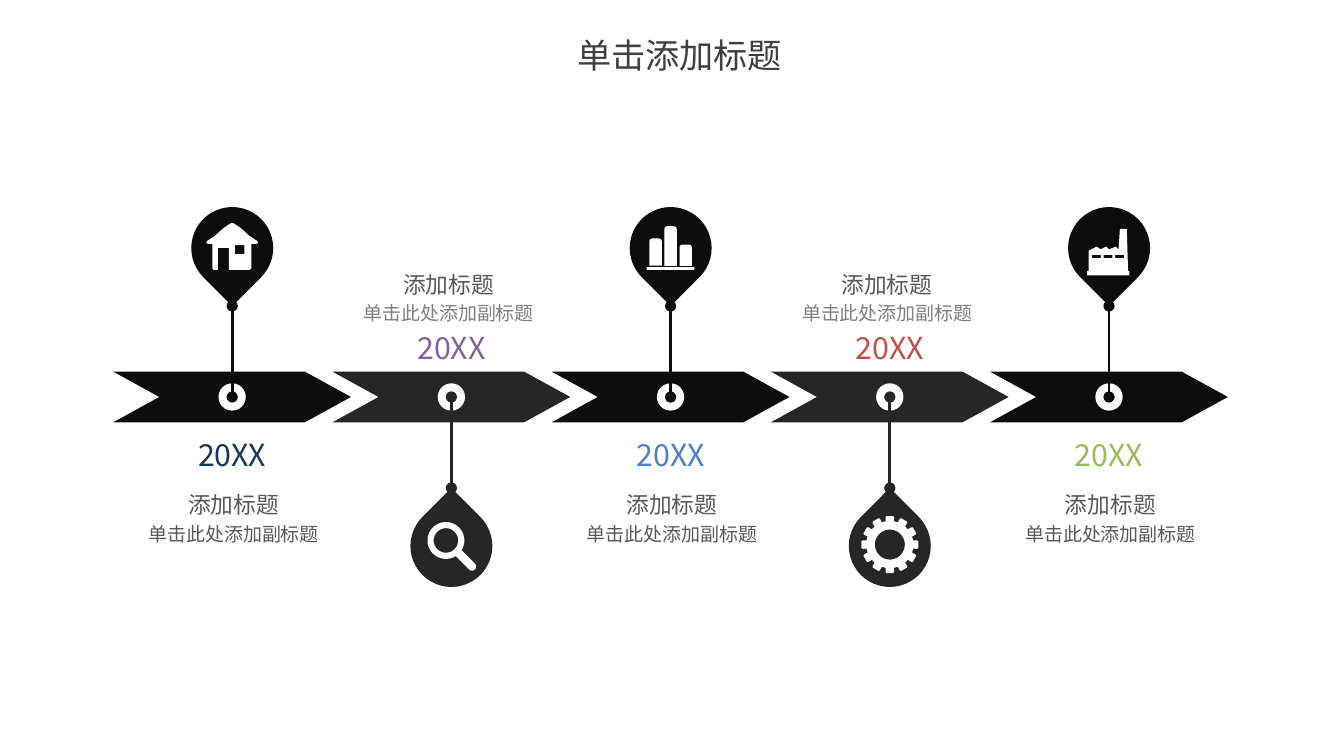
from math import cos, pi, radians, sin

from lxml.etree import SubElement
from pptx import Presentation
from pptx.dml.color import RGBColor
from pptx.enum.shapes import MSO_CONNECTOR, MSO_SHAPE
from pptx.enum.text import MSO_ANCHOR, PP_ALIGN
from pptx.oxml.ns import qn
from pptx.util import Inches, Pt

# Content
FONT = "Noto Sans CJK SC"
WHITE = RGBColor(0xFF, 0xFF, 0xFF)
BLACK = RGBColor(0x0D, 0x0D, 0x0D)
CHARCOAL = RGBColor(0x26, 0x26, 0x26)
TITLE_GRAY = RGBColor(0x40, 0x40, 0x40)
TEXT_GRAY = RGBColor(0x59, 0x59, 0x59)
LIGHT_GRAY = RGBColor(0x80, 0x80, 0x80)
NAVY = RGBColor(0x17, 0x37, 0x5E)
PURPLE = RGBColor(0x80, 0x64, 0xA2)
BLUE = RGBColor(0x4F, 0x81, 0xBD)
RED = RGBColor(0xC0, 0x50, 0x4D)
GREEN = RGBColor(0x9B, 0xBB, 0x59)

TITLE = "单击添加标题"
STEPS = [  # year, year colour, heading, subtitle, icon
    ("20XX", NAVY, "添加标题", "单击此处添加副标题", "house"),
    ("20XX", PURPLE, "添加标题", "单击此处添加副标题", "magnifier"),
    ("20XX", BLUE, "添加标题", "单击此处添加副标题", "bars"),
    ("20XX", RED, "添加标题", "单击此处添加副标题", "gear"),
    ("20XX", GREEN, "添加标题", "单击此处添加副标题", "factory"),
]

# Grid, in inches
WIDTH, HEIGHT = 9.84, 5.51
FIRST, PITCH = 1.7, 1.605       # column centres
AXIS = 2.905                    # centre line of the arrows
PIN_OFFSET, PIN = 1.09, 0.6     # axis to pin centre, pin diameter
TIP = PIN / 2 * 2 ** 0.5        # pin centre to pin tip
ROWS_ABOVE = (2.41, 1.98, 2.21)  # year, heading, subtitle
ROWS_BELOW = (3.19, 3.59, 3.82)


# Icon outlines, in hundredths of an inch from the pin centre
def arc(x, y, radius, start=0, end=360, steps=48):
    angles = [radians(start + (end - start) * i / steps) for i in range(steps + 1)]
    return [(x + radius * cos(a), y + radius * sin(a)) for a in angles]


def rectangle(left, top, right, bottom):
    return [(left, top), (right, top), (right, bottom), (left, bottom)]


def magnifier():
    lens, reach, handle = -4, 27, 3
    diagonal = cos(pi / 4)
    end = lens + reach * diagonal
    outline = arc(lens, lens, 13.5, 58, 392) + arc(end, end, handle, -45, 135, 12)
    return [outline, arc(lens, lens, 9)]


def gear(teeth=12):
    outline = []
    for i in range(teeth):
        middle = 360 / teeth * i
        for shift, radius in ((-10, 17.3), (-9, 20), (-7, 21), (7, 21), (9, 20), (10, 17.3)):
            angle = radians(middle + shift)
            outline.append((radius * cos(angle), radius * sin(angle) - 1))
    return [outline, arc(0, -1, 11)]


HOUSE = [
    (0, -18.5), (2, -17.5), (7, -14), (12.5, -9), (18.5, -5), (19, -3.5), (17.5, -3),
    (14, -3), (14, 15), (13, 16), (-2.5, 16), (-2.5, 0), (-10.5, 0), (-10.5, 16),
    (-13.5, 16), (-14.5, 15), (-14.5, -3), (-17.5, -3), (-19, -3.5), (-18.5, -5),
    (-12.5, -9), (-7, -14), (-2, -17.5),
]
FACTORY = [
    (14, 17), (13, -14), (8, -14), (7, 1), (5, -1), (0, 1), (-2, -1), (-6, 1),
    (-9, -1), (-15, 2), (-15, 17), (-16, 17), (-16, 20), (15, 20), (15, 17),
]
BAR_TOPS = (-7, -16, -2.5)
OUTLINES = {
    "house": [HOUSE, rectangle(2, -2, 9, 4.5)],
    "magnifier": magnifier(),
    "gear": gear(),
    "factory": [FACTORY] + [rectangle(x, 5, x + 6.5, 7.5) for x in (-12.5, -4, 4.5)],
}


# Drawing helpers
def paint(shape, color):
    shape.shadow.inherit = False
    shape.fill.solid()
    shape.fill.fore_color.rgb = color
    shape.line.fill.background()
    return shape


def add_centered(page, kind, x, y, width, height, color):
    return paint(page.shapes.add_shape(
        kind, Inches(x - width / 2), Inches(y - height / 2),
        Inches(width), Inches(height)), color)


def add_icon(page, name, x, y):
    if name == "bars":
        for i, top in enumerate(BAR_TOPS):
            height = (13 - top) / 100
            bar = add_centered(page, MSO_SHAPE.ROUND_2_SAME_RECTANGLE,
                               x + (i - 1) * 0.11, y + 0.13 - height / 2, 0.09, height, WHITE)
            bar.adjustments[0] = 0.24
        add_centered(page, MSO_SHAPE.RECTANGLE, x, y + 0.15, 0.35, 0.02, WHITE)
        return
    builder = None
    for outline in OUTLINES[name]:
        points = [(Inches(x + dx / 100), Inches(y + dy / 100)) for dx, dy in outline]
        if builder is None:
            builder = page.shapes.build_freeform(*points[0])
        else:
            builder.move_to(*points[0])
        builder.add_line_segments(points[1:], close=True)
    paint(builder.convert_to_shape(), WHITE)


def write(box, text, size, color, anchor=MSO_ANCHOR.TOP):
    frame = box.text_frame
    frame.text = text
    frame.word_wrap = False
    frame.vertical_anchor = anchor
    frame.margin_left = frame.margin_right = frame.margin_top = frame.margin_bottom = 0
    para = frame.paragraphs[0]
    para.alignment = PP_ALIGN.CENTER
    span = para.runs[0]
    span.font.size = Pt(size)
    span.font.color.rgb = color
    span.font.name = FONT
    SubElement(span.font._element, qn("a:ea")).set("typeface", FONT)


def add_label(page, x, top, width, height, *style):
    box = page.shapes.add_textbox(
        Inches(x - width / 2), Inches(top), Inches(width), Inches(height))
    write(box, *style)


def add_stem(page, x, start, end, color):
    stem = page.shapes.add_connector(
        MSO_CONNECTOR.STRAIGHT, Inches(x), Inches(start), Inches(x), Inches(end))
    stem.line.color.rgb = color
    stem.line.width = Pt(1.5)
    line = stem.line._get_or_add_ln()
    for tag in ("a:headEnd", "a:tailEnd"):
        SubElement(line, qn(tag)).set("type", "oval")
    SubElement(stem._element.spPr, qn("a:effectLst"))


def add_step(page, index, year, year_color, heading, subtitle, icon):
    x = FIRST + PITCH * index
    above = index % 2 == 0      # the pin stands above the arrow
    side = -1 if above else 1
    color = BLACK if above else CHARCOAL
    pin_y = AXIS + side * PIN_OFFSET

    # Arrow, ring, stem and pin
    arrow = add_centered(page, MSO_SHAPE.NOTCHED_RIGHT_ARROW, x, AXIS, 1.74, 0.37, color)
    arrow.adjustments[0], arrow.adjustments[1] = 1, 0.91
    add_centered(page, MSO_SHAPE.OVAL, x, AXIS, 0.2, 0.2, WHITE)
    add_stem(page, x, pin_y - side * TIP, AXIS, color)
    pin = add_centered(page, MSO_SHAPE.TEAR, x, pin_y, PIN, PIN, color)
    pin.rotation = 135 if above else 315
    add_icon(page, icon, x, pin_y)

    # Captions on the other side of the arrow
    year_top, heading_top, subtitle_top = ROWS_BELOW if above else ROWS_ABOVE
    caption_x = x + (0.01 if above else -0.02)
    add_label(page, x, year_top, 0.52, 0.27, year, 16, year_color, MSO_ANCHOR.MIDDLE)
    add_label(page, caption_x, heading_top, 0.67, 0.2, heading, 12, TEXT_GRAY)
    add_label(page, caption_x, subtitle_top, 1.51, 0.17, subtitle, 10,
              TEXT_GRAY if above else LIGHT_GRAY)


def main():
    deck = Presentation()
    deck.slide_width, deck.slide_height = Inches(WIDTH), Inches(HEIGHT)
    page = deck.slides.add_slide(deck.slide_layouts[5])

    # Title
    title = page.shapes.title
    title.left, title.top = Inches(4.22), Inches(0.25)
    title.width, title.height = Inches(1.51), Inches(0.3)
    write(title, TITLE, 18, TITLE_GRAY, MSO_ANCHOR.MIDDLE)

    # Timeline
    for index, step in enumerate(STEPS):
        add_step(page, index, *step)
    deck.save("out.pptx")


if __name__ == "__main__":
    main()
